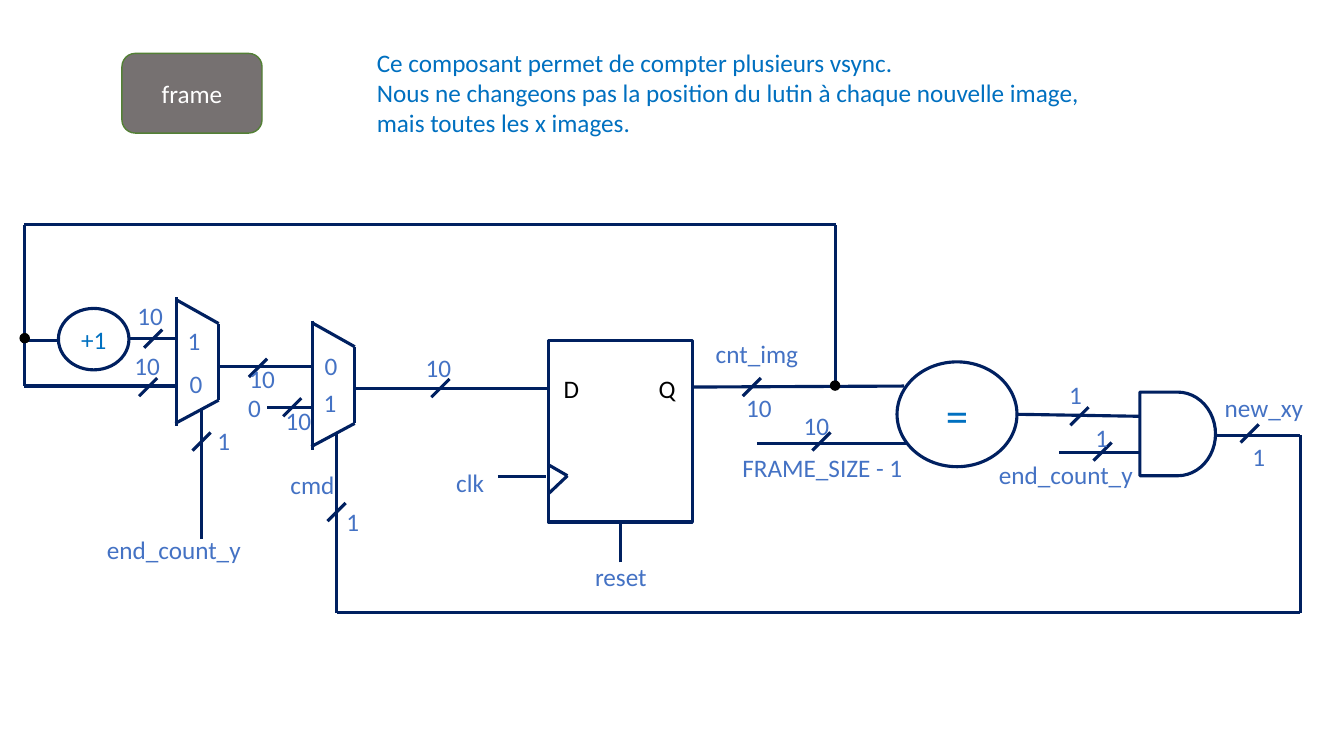
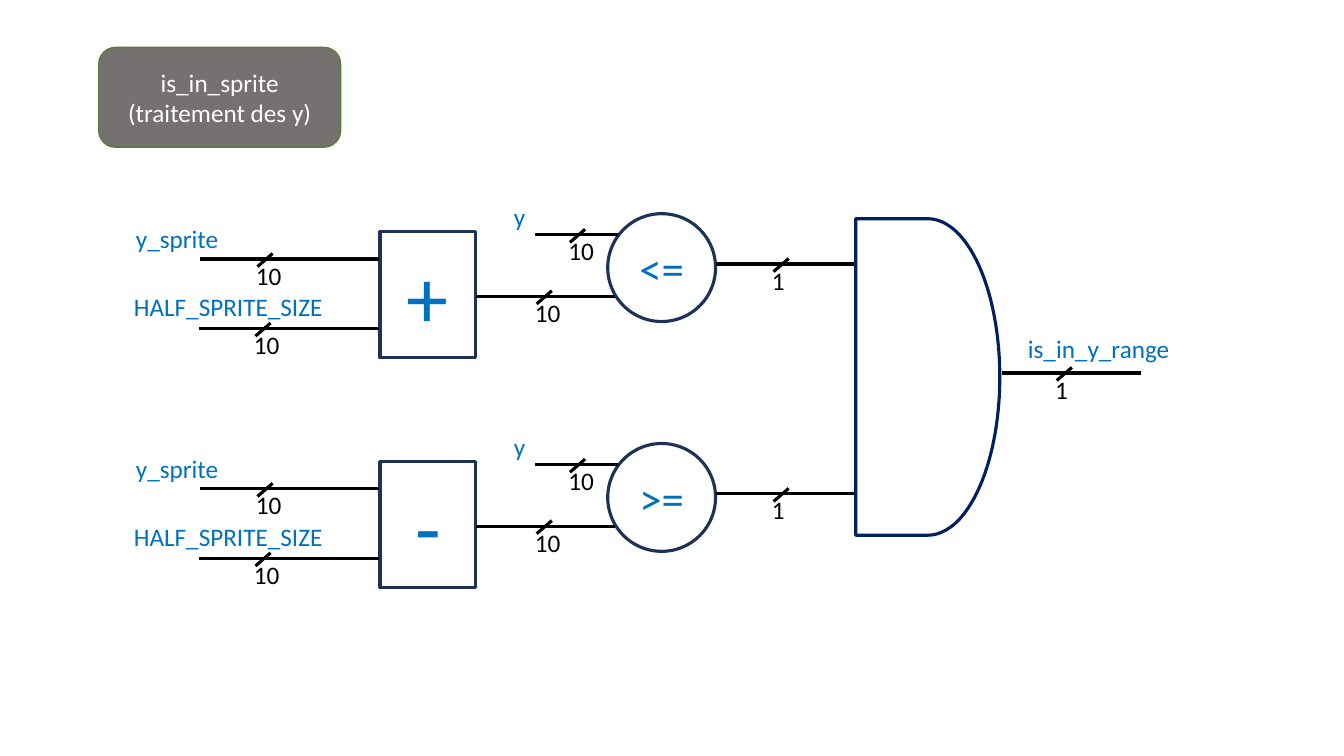
from lxml import etree
from pptx import Presentation, util as u
from pptx.dml.color import RGBColor
from pptx.enum import shapes, text
from pptx.oxml.ns import qn

FONT = "Calibri"
COLOURS = {"navy": "002060", "ink": "1E3256", "blue": "0070C0", "label": "4472C4",
           "black": "000000", "white": "FFFFFF", "grey": "767171", "green": "538035"}
CENTRE, LEFT = text.PP_ALIGN.CENTER, text.PP_ALIGN.LEFT
KIND = shapes.MSO_SHAPE
UNIT = 2.54  # one diagram unit in centimetres

# Slide 1: frame counter
FRAME_TITLE = ("frame", (1.21, 0.53, 1.39, 0.79))
FRAME_INTRO = ("Ce composant permet de compter plusieurs vsync.\n"
               "Nous ne changeons pas la position du lutin à chaque nouvelle image,\n"
               "mais toutes les x images.")
FRAME_BLOCKS = [  # kind, box, text, size
    (KIND.RECTANGLE, (5.44, 3.38, 1.43, 1.8), "", 18),
    (KIND.OVAL, (0.58, 3.06, 0.7, 0.61), "+1", 18),
    (KIND.OVAL, (8.9, 3.59, 1.19, 1.04), "=", 32),
    (KIND.FLOWCHART_DELAY, (11.31, 3.89, 0.75, 0.83), "", 18),
]
MUXES = [(1.75, 2.95), (3.1, 3.18)]
MUX_WIRES = [  # relative to the top of the long side
    [(0, 0), (0, 1.28)],
    [(0.01, 0.03), (0.42, 0.26), (0.42, 1.02), (-0.01, 1.25)],
]
FRAME_WIRES = [
    [(5.44, 4.61), (5.63, 4.72), (5.44, 4.9)],            # clock notch
    [(4.94, 4.73), (5.42, 4.73)],                         # clk
    [(6.16, 5.58), (6.16, 5.19)],                         # reset
    [(6.87, 3.84), (8.97, 3.83)],                         # cnt_img
    [(8.29, 3.84), (8.29, 2.23), (0.24, 2.23), (0.24, 3.83), (1.76, 3.83)],
    [(0.24, 3.38), (0.58, 3.38)],
    [(1.29, 3.36), (1.76, 3.36)],
    [(2.17, 3.64), (3.1, 3.64)],
    [(2.65, 4.04), (3.1, 4.04)],
    [(3.51, 3.85), (5.44, 3.85)],
    [(2, 5.35), (2, 4.07)],                               # end_count_y
    [(7.51, 4.4), (9.01, 4.4)],                           # FRAME_SIZE - 1
    [(10.08, 4.11), (11.31, 4.13)],
    [(10.51, 4.49), (11.31, 4.49)],
    [(12.05, 4.32), (12.9, 4.32), (12.9, 6.08), (3.34, 6.08), (3.34, 4.3)],
]
FRAME_TICKS = [(2.56, 3.65), (7.46, 3.84), (4.37, 3.85), (2, 4.38), (3.34, 5.08),
               (2.9, 4.04), (1.47, 3.84), (1.52, 3.36), (10.71, 4.13), (10.94, 4.48),
               (12.4, 4.3), (8.15, 4.38)]
JUNCTIONS = [(0.2, 3.31), (8.24, 3.78)]
FRAME_LABELS = [  # text, left, top, width
    ("reset", 5.17, 5.52, 1.98), ("clk", 4.25, 4.59, 0.83),
    ("cmd", 2.55, 4.61, 1.1), ("cnt_img", 6.98, 3.31, 1.06),
    ("new_xy", 11.99, 3.84, 1.1), ("FRAME_SIZE - 1", 6.89, 4.44, 2.54),
    ("end_count_y", 0.57, 5.25, 2.31), ("end_count_y", 9.42, 4.51, 2.31),
    ("0", 1.53, 3.61, 0.83), ("1", 1.51, 3.18, 0.83),
    ("0", 2.87, 3.43, 0.83), ("1", 2.86, 3.79, 0.83), ("0", 2.11, 3.84, 0.83),
]
FRAME_WIDTHS = [  # bus width, left, top
    ("10", 7.29, 3.84), ("10", 4.11, 3.45), ("10", 2.36, 3.56), ("10", 2.72, 3.97),
    ("10", 1.22, 3.43), ("10", 1.25, 2.93), ("10", 7.86, 4.02), ("1", 1.98, 4.17),
    ("1", 3.26, 4.97), ("1", 10.69, 4.14), ("1", 10.43, 3.71), ("1", 12.25, 4.33),
]
REGISTER_PINS = [("D", 5.43, 3.65), ("Q", 6.38, 3.65)]

# Slide 2: vertical range test
SPRITE_TITLE = ("is_in_sprite\n(traitement des y)", (0.98, 0.47, 2.4, 0.99))
LANES = [("+", "<=", 0), ("-", ">=", 2.28)]  # operator, comparison, offset
LANE_BUSES = [  # x from, x to, y, tick x, bus width
    (5.31, 6.13, 2.33, 5.73, "10"),
    (1.98, 3.76, 2.57, 2.63, "10"),
    (1.97, 3.76, 3.26, 2.61, "10"),
    (4.72, 6.1, 2.94, 5.4, "10"),
    (7.1, 8.48, 2.62, 7.75, "1"),
]
LANE_LABELS = [("y", 5, 1.95, 0.43), ("y_sprite", 1.25, 2.17, 1.08),
               ("HALF_SPRITE_SIZE", 1.23, 2.84, 2.16)]
AND_GATE = (8.49, 2.17, 1.43, 3.14)
OUTPUT_BUS = (9.94, 11.32, 3.7, 10.56, "1")
OUTPUT_LABEL = ("is_in_y_range", 10.1, 3.26, 1.66)


def cm(value):
    return u.Cm(value * UNIT)


def rgb(name):
    return RGBColor.from_string(COLOURS[name])


def write(sp, content, size, colour, align):
    tf = sp.text_frame
    tf.text = content
    for p in tf.paragraphs:
        p.alignment = align
        for r in p.runs:
            r.font.name, r.font.size = FONT, u.Pt(size)
            r.font.color.rgb = rgb(colour)


def block(s, kind, box, content="", size=18, fill="white", line="navy",
          weight=2.25, colour="blue"):
    sp = s.shapes.add_shape(kind, *map(cm, box))
    sp.shadow.inherit = False
    if fill:
        sp.fill.solid()
        sp.fill.fore_color.rgb = rgb(fill)
    else:
        sp.fill.background()
    sp.line.color.rgb = rgb(line)
    sp.line.width = u.Pt(weight)
    if content:
        write(sp, content, size, colour, CENTRE)


def title(s, content, box):
    block(s, KIND.ROUNDED_RECTANGLE, box, content, fill="grey", line="green",
          weight=1, colour="white")


def label(s, content, left, top, width=0.48, colour="label", align=CENTRE,
          height=0.4, wrap=True):
    sp = s.shapes.add_textbox(*map(cm, (left, top, width, height)))
    sp.text_frame.word_wrap = wrap
    write(sp, content, 18, colour, align)


def wire(s, points, colour="navy"):
    for start, end in zip(points, points[1:]):
        c = s.shapes.add_connector(shapes.MSO_CONNECTOR.STRAIGHT, *map(cm, start + end))
        c.line.color.rgb = rgb(colour)
        c.line.width = u.Pt(2.25)
        etree.SubElement(c.element.spPr, qn("a:effectLst"))


def tick(s, x, y, width=0.18, height=0.18, colour="navy"):
    wire(s, [(x - width / 2, y + height / 2), (x + width / 2, y - height / 2)], colour)


def bus(s, x1, x2, y, x_tick, bits):
    wire(s, [(x1, y), (x2, y)], "black")
    tick(s, x_tick, y + 0.01, 0.15, 0.13, "black")
    label(s, bits, x_tick - 0.19, y - 0.04, 0.22 + 0.12 * len(bits), "black", LEFT,
          wrap=False)


def frame_slide(s):
    title(s, *FRAME_TITLE)
    label(s, FRAME_INTRO, 3.64, 0.42, 7.21, "blue", LEFT, 1.01, wrap=False)
    for kind, box, content, size in FRAME_BLOCKS:
        block(s, kind, box, content, size)
    for x, y in MUXES:
        for points in MUX_WIRES:
            wire(s, [(x + dx, y + dy) for dx, dy in points])
    for points in FRAME_WIRES:
        wire(s, points)
    for x, y in FRAME_TICKS:
        tick(s, x, y)
    for x, y in JUNCTIONS:
        block(s, KIND.OVAL, (x, y, 0.09, 0.09), fill="black", line="black", weight=1)
    for item in FRAME_LABELS + FRAME_WIDTHS:
        label(s, *item)
    for pin in REGISTER_PINS:
        label(s, *pin, colour="black")


def sprite_slide(s):
    title(s, *SPRITE_TITLE)
    for operator, comparison, dy in LANES:
        block(s, KIND.RECTANGLE, (3.77, 2.3 + dy, 0.95, 1.25), operator, 60,
              fill=None, line="ink")
        block(s, KIND.OVAL, (6.03, 2.12 + dy, 1.07, 1.07), comparison, 32,
              fill=None, line="ink")
        for x1, x2, y, x_tick, bits in LANE_BUSES:
            bus(s, x1, x2, y + dy, x_tick, bits)
        for content, left, top, width in LANE_LABELS:
            label(s, content, left, top + dy, width, "blue", LEFT)
    # Both comparisons meet in the gate
    block(s, KIND.FLOWCHART_DELAY, AND_GATE)
    bus(s, *OUTPUT_BUS)
    label(s, *OUTPUT_LABEL, "blue", LEFT)


def main():
    prs = Presentation()
    prs.slide_width, prs.slide_height = u.Cm(33.87), u.Cm(19.05)
    for build in (frame_slide, sprite_slide):
        build(prs.slides.add_slide(prs.slide_layouts[6]))
    prs.save("out.pptx")


if __name__ == "__main__":
    main()
